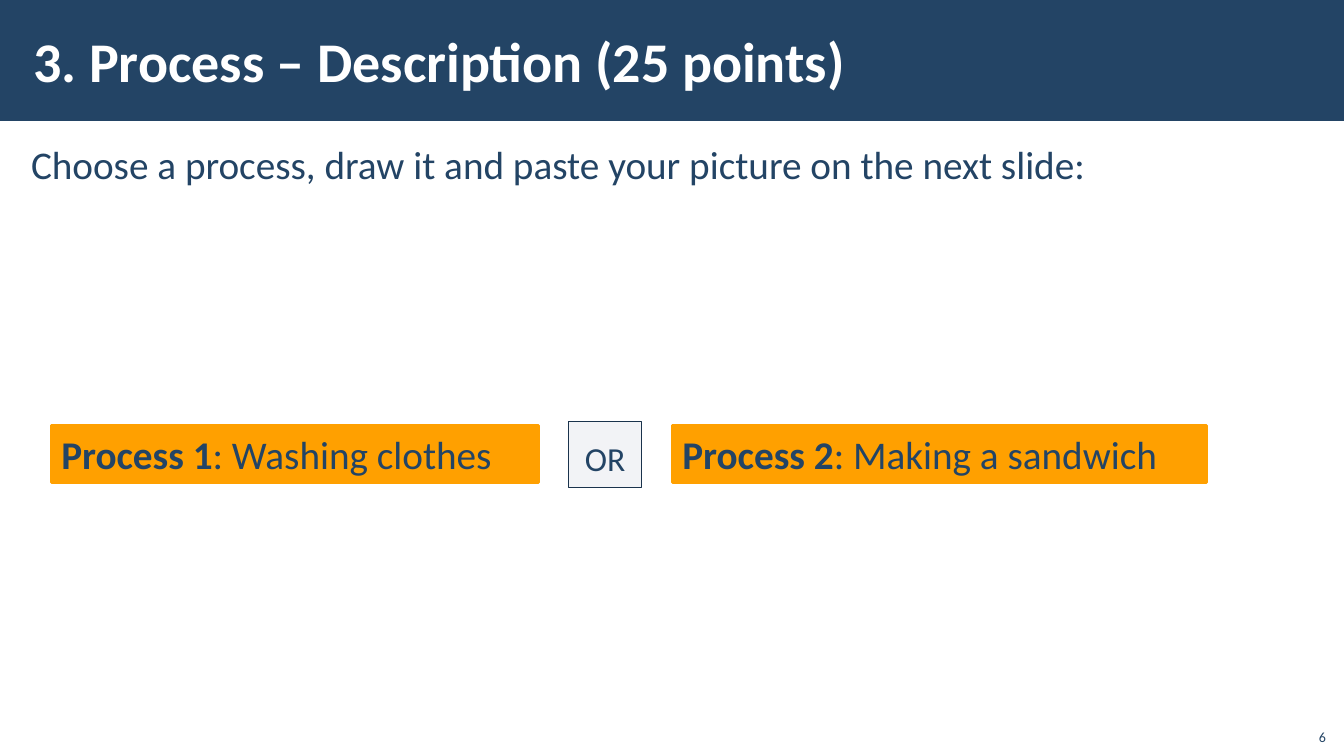
from lxml import etree
from pptx import Presentation
from pptx.dml.color import RGBColor
from pptx.enum.shapes import MSO_SHAPE as Shape
from pptx.enum.text import MSO_ANCHOR as Anchor, PP_ALIGN as Align
from pptx.oxml.ns import qn
from pptx.util import Inches, Pt

NAVY, ORANGE, WHITE = "234465", "FFA000", "FFFFFF"
BOX_TOP, BOX_HEIGHT = 4.22, 0.57


def color(hex_code):
    return RGBColor.from_string(hex_code)


def write(shape, runs, size, font_color=NAVY, anchor=Anchor.TOP,
          align=Align.LEFT, margins=(0.1, 0.05), wrap=True):
    """Fill a shape with one paragraph of (text, bold) runs."""
    frame = shape.text_frame
    frame.word_wrap = wrap
    frame.vertical_anchor = anchor
    frame.margin_left = frame.margin_right = Inches(margins[0])
    frame.margin_top = frame.margin_bottom = Inches(margins[1])
    paragraph = frame.paragraphs[0]
    paragraph.alignment = align
    paragraph.font.name = "Calibri"
    paragraph.font.size = Pt(size)
    paragraph.font.color.rgb = color(font_color)
    for text, bold in runs:
        run = paragraph.add_run()
        run.text = text
        run.font.bold = bold
    return paragraph


def add_text(slide, box, text, size, bold=False, **style):
    shape = slide.shapes.add_textbox(*map(Inches, box))
    write(shape, [(text, bold)], size, **style)


def add_rectangle(slide, box, fill, line=None, line_width=1, opacity=100):
    shape = slide.shapes.add_shape(Shape.RECTANGLE, *map(Inches, box))
    shape.shadow.inherit = False
    shape.fill.solid()
    shape.fill.fore_color.rgb = color(fill)
    if opacity < 100:
        fill_color = shape.fill._xPr.find(".//" + qn("a:srgbClr"))
        etree.SubElement(fill_color, qn("a:alpha")).set("val", str(opacity * 1000))
    if line:
        shape.line.color.rgb = color(line)
        shape.line.width = Pt(line_width)
    else:
        shape.line.fill.background()
    return shape


def add_process(slide, left, width, label, description):
    shape = add_rectangle(slide, (left, BOX_TOP, width, BOX_HEIGHT),
                          ORANGE, ORANGE, 2)
    write(shape, [(label, True), (f": {description}", False)], 28)


def main():
    presentation = Presentation()
    presentation.slide_width = Inches(13.33)
    presentation.slide_height = Inches(7.5)
    slide = presentation.slides.add_slide(presentation.slide_layouts[6])

    # Header band, title and slide number
    add_rectangle(slide, (0, 0, 13.34, 1.2), NAVY)
    add_text(slide, (0.21, 0.11, 10.63, 0.97), "3. Process – Description (25 points)",
             40, bold=True, font_color=WHITE, anchor=Anchor.MIDDLE,
             margins=(0.12, 0.04))
    add_text(slide, (12.85, 7.12, 0.4, 0.32), "6", 10,
             anchor=Anchor.BOTTOM, align=Align.RIGHT)

    # Instruction
    add_text(slide, (0.21, 1.34, 11.76, 0.57),
             "Choose a process, draw it and paste your picture on the next slide:", 28)

    # The two processes to choose from
    add_process(slide, 0.51, 4.83, "Process 1", "Washing clothes")
    add_process(slide, 6.67, 5.3, "Process 2", "Making a sandwich")

    # Box between the processes
    choice = add_rectangle(slide, (5.64, 4.18, 0.72, 0.66), "ADB4C3", "1A334C",
                           opacity=15)
    paragraph = write(choice, [("OR", False)], 24, margins=(0.16, 0.12), wrap=False)
    paragraph.line_spacing = 1.1

    presentation.save("out.pptx")


if __name__ == "__main__":
    main()
